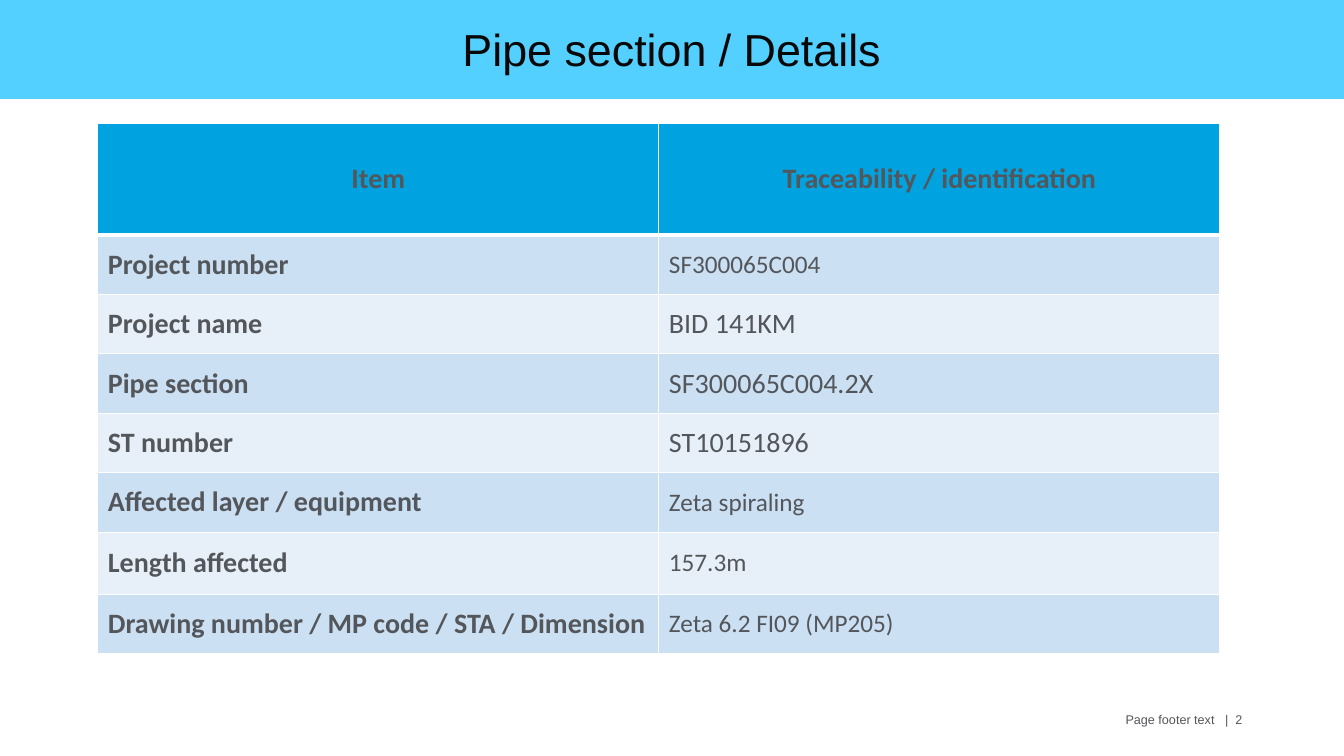
from lxml.etree import SubElement
from pptx import Presentation
from pptx.dml.color import RGBColor
from pptx.enum.shapes import MSO_SHAPE as Shape
from pptx.enum.text import MSO_ANCHOR as Anchor, PP_ALIGN as Align
from pptx.oxml.ns import qn
from pptx.util import Inches, Pt

WIDE, HIGH = 13.33, 7.5
SKY = RGBColor(0x53, 0xD0, 0xFF)
BLUE = RGBColor(0x00, 0xA3, 0xE0)
PALE = RGBColor(0xCC, 0xE0, 0xF3)
LIGHT = RGBColor(0xE7, 0xF0, 0xF9)
GRAY = RGBColor(0x53, 0x56, 0x5A)
BLACK = RGBColor(0x08, 0x08, 0x08)

HEADS = ("Item", "Traceability / identification")
ITEMS = (
    ("Project number", "SF300065C004", 18),
    ("Project name", "BID 141KM", 20),
    ("Pipe section", "SF300065C004.2X", 20),
    ("ST number", "ST10151896", 20),
    ("Affected layer / equipment", "Zeta spiraling", 18),
    ("Length affected", "157.3m", 18),
    ("Drawing number / MP code / STA / Dimension", "Zeta 6.2 FI09 (MP205)", 18),
)
HEAD_ROW, ROW, TALL_ROW = 1.11, 0.59, 0.62


def write(frame, text, size=20, bold=False, color=GRAY, face="Calibri", align=Align.LEFT):
    para = frame.paragraphs[0]
    para.alignment = align
    run = para.add_run()
    run.text = text
    font = run.font
    font.name, font.size, font.bold = face, Pt(size), bold
    font.color.rgb = color


def edge(cell, base, top):
    props = cell._tc.get_or_add_tcPr()
    for side, width in (("L", 1), ("R", 1), ("T", top), ("B", base)):
        line = SubElement(props, qn(f"a:ln{side}"), w=str(Pt(width)))
        fill = SubElement(line, qn("a:solidFill"))
        SubElement(fill, qn("a:srgbClr"), val="FFFFFF")


def style(cell, color, base=1, top=1):
    edge(cell, base, top)
    cell.fill.solid()
    cell.fill.fore_color.rgb = color
    cell.vertical_anchor = Anchor.MIDDLE


def title(slide, box, text):
    bar = slide.shapes.add_shape(Shape.RECTANGLE, *map(Inches, box))
    bar.shadow.inherit = False
    bar.fill.solid()
    bar.fill.fore_color.rgb = SKY
    bar.line.fill.background()
    bar.text_frame.vertical_anchor = Anchor.MIDDLE
    write(bar.text_frame, text, size=32, color=BLACK, face="Arial", align=Align.CENTER)


def details(slide, box):
    grid = slide.shapes.add_table(len(ITEMS) + 1, 2, *map(Inches, box)).table
    for col in grid.columns:
        col.width = Inches(box[2] / 2)
    grid.rows[0].height = Inches(HEAD_ROW)
    for cell, text in zip(grid.rows[0].cells, HEADS):
        style(cell, BLUE, base=3)
        write(cell.text_frame, text, bold=True, align=Align.CENTER)
    for num, (name, value, size) in enumerate(ITEMS, 1):
        grid.rows[num].height = Inches(TALL_ROW if name == "Length affected" else ROW)
        left, right = grid.rows[num].cells
        for cell in (left, right):
            style(cell, PALE if num % 2 else LIGHT, top=3 if num == 1 else 1)
        write(left.text_frame, name, bold=True)
        write(right.text_frame, value, size=size)


def footer(slide, box, text):
    frame = slide.shapes.add_textbox(*map(Inches, box)).text_frame
    frame.word_wrap = True
    write(frame, text, size=9, face="Arial", align=Align.RIGHT)


def main():
    deck = Presentation()
    deck.slide_width, deck.slide_height = Inches(WIDE), Inches(HIGH)
    slide = deck.slides.add_slide(deck.slide_layouts[6])
    footer(slide, (9.12, 7.01, 3.3, 0.4), "Page footer text   |  2")
    details(slide, (0.97, 1.22, 11.13, 5.26))
    title(slide, (0, -0.01, WIDE, 0.99), "Pipe section / Details")
    deck.save("out.pptx")


if __name__ == "__main__":
    main()
